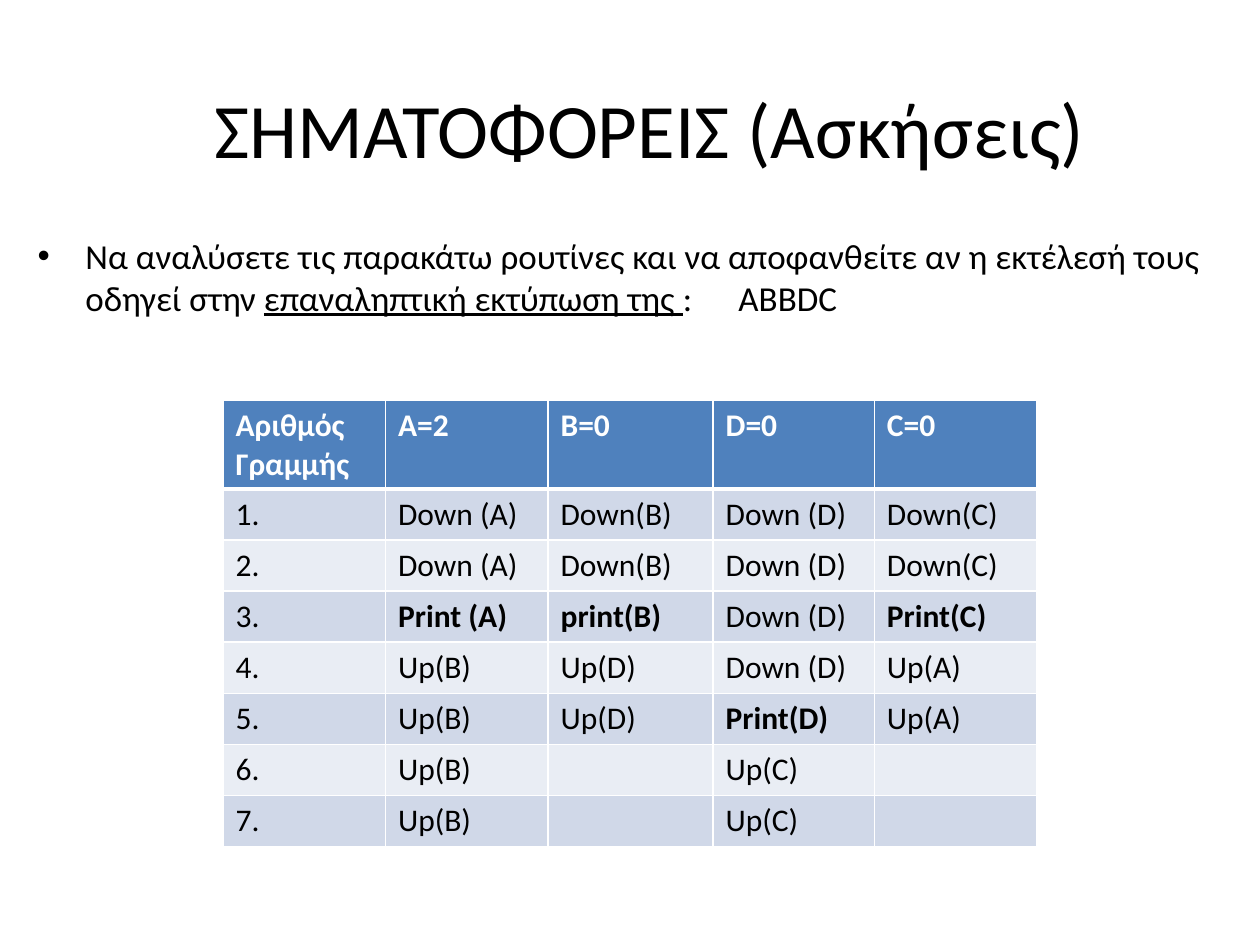
from lxml.etree import SubElement
from pptx import Presentation
from pptx.dml.color import RGBColor
from pptx.enum.text import MSO_ANCHOR, PP_ALIGN
from pptx.oxml.ns import qn
from pptx.util import Inches, Pt

# Content
TITLE = "ΣΗΜΑΤΟΦΟΡΕΙΣ (Ασκήσεις)"
QUESTION = [
    ("Να αναλύσετε τις παρακάτω ρουτίνες και να αποφανθείτε αν η εκτέλεσή τους οδηγεί στην ", False),
    ("επαναληπτική εκτύπωση της ", True),
    (":\t ABBDC", False),
]
HEADERS = ["Αριθμός Γραμμής", "A=2", "B=0", "D=0", "C=0"]
ROUTINES = [
    ["Down (A)", "Down(B)", "Down (D)", "Down(C)"],
    ["Down (A)", "Down(B)", "Down (D)", "Down(C)"],
    ["Print (A)", "print(B)", "Down (D)", "Print(C)"],
    ["Up(B)", "Up(D)", "Down (D)", "Up(A)"],
    ["Up(B)", "Up(D)", "Print(D)", "Up(A)"],
    ["Up(B)", "", "Up(C)", ""],
    ["Up(B)", "", "Up(C)", ""],
]
COLORS = {"text": "000000", "white": "FFFFFF", "header": "4F81BD",
          "odd": "D0D8E8", "even": "E9EDF4"}
COLUMN_WIDTHS = [1.29, 1.29, 1.31, 1.28, 1.29]
TABLE_HEIGHT, HEADER_HEIGHT = 3.54, 0.7


def add_text(paragraph, text, size=18, color="text", bold=False, underline=False):
    run = paragraph.add_run()
    run.text = text
    font = run.font
    font.name, font.size = "Calibri", Pt(size)
    font.bold, font.underline = bold, underline
    font.color.rgb = RGBColor.from_string(COLORS[color])


def set_bullet(paragraph, indent):
    properties = paragraph._p.get_or_add_pPr()
    properties.set("marL", str(Inches(indent)))
    properties.set("indent", str(-Inches(indent)))
    SubElement(properties, qn("a:buFont"), typeface="Arial")
    SubElement(properties, qn("a:buChar"), char="•")


def set_borders(cell, widths):
    properties = cell._tc.get_or_add_tcPr()
    for index, (side, width) in enumerate(widths.items()):
        line = SubElement(properties, qn(f"a:ln{side}"), w=str(Pt(width)))
        fill = SubElement(line, qn("a:solidFill"))
        SubElement(fill, qn("a:srgbClr"), val=COLORS["white"])
        properties.insert(index, line)


def fill_cell(cell, text, fill, **text_format):
    cell.fill.solid()
    cell.fill.fore_color.rgb = RGBColor.from_string(COLORS[fill])
    if text:
        add_text(cell.text_frame.paragraphs[0], text, **text_format)


presentation = Presentation()
presentation.slide_width, presentation.slide_height = Inches(10), Inches(7.5)
slide = presentation.slides.add_slide(presentation.slide_layouts[5])

# Title
title = slide.shapes.title
title.left, title.top = Inches(0.91), Inches(0.21)
title.width, title.height = Inches(8.5), Inches(1.61)
title.text_frame.vertical_anchor = MSO_ANCHOR.MIDDLE
title_paragraph = title.text_frame.paragraphs[0]
title_paragraph.alignment = PP_ALIGN.CENTER
add_text(title_paragraph, TITLE, size=44)

# Question
question = slide.shapes.add_textbox(Inches(0.2), Inches(1.81), Inches(9.8), Inches(1.18))
question.text_frame.word_wrap = True
question_paragraph = question.text_frame.paragraphs[0]
question_paragraph.space_before = Pt(4)
set_bullet(question_paragraph, 0.38)
for text, underline in QUESTION:
    add_text(question_paragraph, text, size=20, underline=underline)

# Routine table
rows = [HEADERS] + [[f"{number}.", *calls] for number, calls in enumerate(ROUTINES, 1)]
table = slide.shapes.add_table(
    len(rows), len(HEADERS), Inches(1.77), Inches(3.18),
    Inches(sum(COLUMN_WIDTHS)), Inches(TABLE_HEIGHT)).table
for column, width in zip(table.columns, COLUMN_WIDTHS):
    column.width = Inches(width)
body_height = (TABLE_HEIGHT - HEADER_HEIGHT) / len(ROUTINES)
for row_index, texts in enumerate(rows):
    is_header = row_index == 0
    table.rows[row_index].height = Inches(HEADER_HEIGHT if is_header else body_height)
    fill = "header" if is_header else ("odd" if row_index % 2 else "even")
    for column_index, text in enumerate(texts):
        cell = table.cell(row_index, column_index)
        fill_cell(cell, text, fill, color="white" if is_header else "text",
                  bold=is_header or text.lower().startswith("print"))
        set_borders(cell, {"L": 1, "R": 1, "T": 3 if row_index == 1 else 1,
                           "B": 3 if is_header else 1})

presentation.save("out.pptx")
